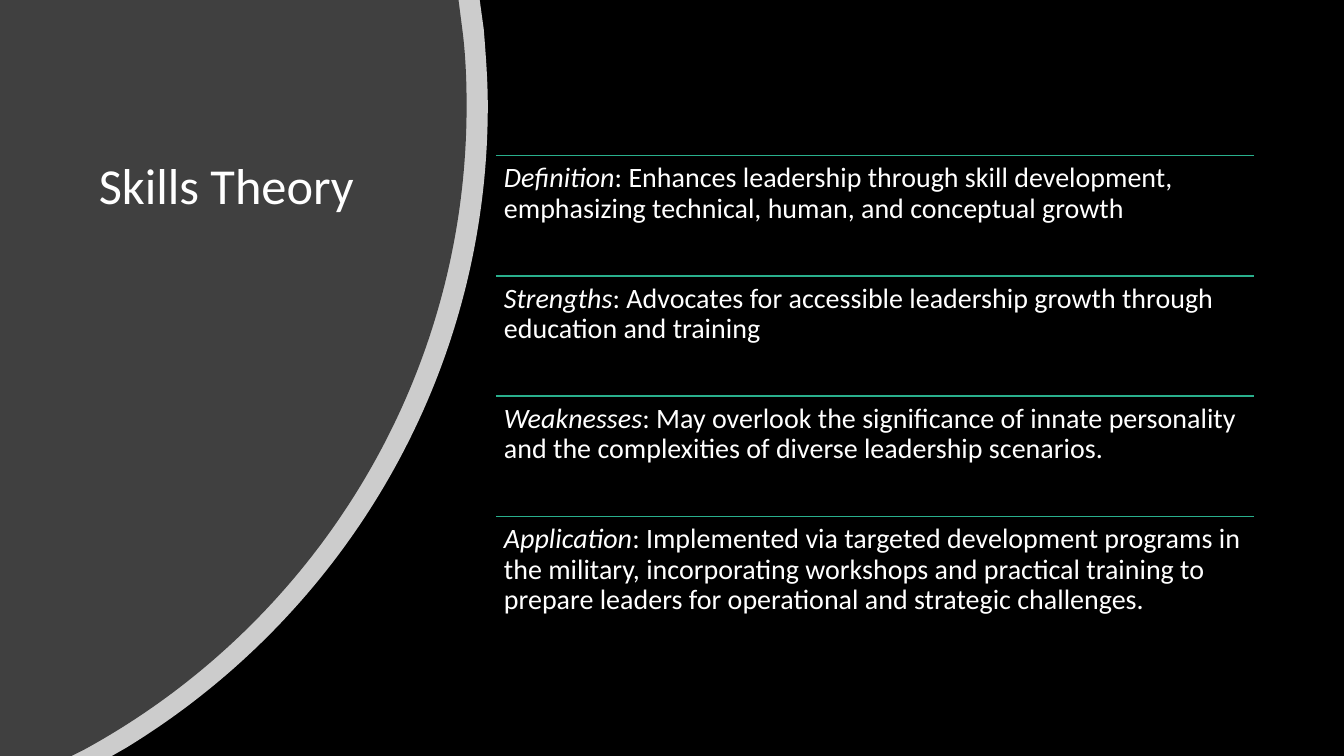
"""Build the Skills Theory slide: a curved title panel beside four ruled rows."""
from typing import NamedTuple

from lxml.etree import Element, SubElement
from pptx import Presentation
from pptx.dml.color import RGBColor
from pptx.enum.shapes import MSO_CONNECTOR as Conn
from pptx.enum.text import MSO_ANCHOR as Anchor, MSO_AUTO_SIZE as Fit, PP_ALIGN as Align
from pptx.oxml.ns import qn
from pptx.util import Pt

PX = 4572
WIDE, HIGH = 2667, 1500
LEFT, TOP, ROW_W, ROW_H = 984, 309, 1504, 239
SPAN, INSET = 716, 16
FONT, WHITE = "Calibri", "FFFFFF"

Point = tuple[int, int]


class Panel(NamedTuple):
    edge: list[Point]
    curves: list[Point]
    foot: int
    fill: str
    alpha: int


class Row(NamedTuple):
    term: str
    body: str


PANELS = [
    Panel([(952, 0), (960, 58)],
          [(964, 108), (968, 160), (968, 210), (968, 750), (680, 1222), (250, 1484)],
          222, WHITE, 80),
    Panel([(910, 0), (918, 62)],
          [(924, 110), (926, 160), (926, 210), (926, 762), (618, 1242), (166, 1488)],
          142, "404040", 100),
]
ROWS = [
    Row("Definition", ": Enhances leadership through skill development, "
        "emphasizing technical, human, and conceptual growth"),
    Row("Strengths", ": Advocates for accessible leadership growth through "
        "education and training"),
    Row("Weaknesses", ": May overlook the significance of innate personality "
        "and the complexities of diverse leadership scenarios."),
    Row("Application", ": Implemented via targeted development programs in the "
        "military, incorporating workshops and practical training to prepare "
        "leaders for operational and strategic challenges."),
]


def emu(num: int) -> int:
    """Turn px into EMU."""
    return num * PX


def paint(fmt, tone: str) -> None:
    """Give a fill one solid colour."""
    fmt.solid()
    fmt.fore_color.rgb = RGBColor.from_string(tone)


def write(para, text: str, size: int, italic: bool = False) -> None:
    """Add one formatted run to a paragraph."""
    para.line_spacing = 0.9
    para.alignment = Align.LEFT
    run = para.add_run()
    run.text = text
    font = run.font
    font.name, font.size, font.italic = FONT, Pt(size), italic
    paint(font.fill, WHITE)


def bend(shape, first: int, count: int) -> None:
    """Merge each three line ends from the first on into a cubic curve."""
    lines = list(shape.element.iter(qn("a:lnTo")))[first:first + count]
    for start in range(0, count, 3):
        curve = Element(qn("a:cubicBezTo"))
        lines[start].addprevious(curve)
        for line in lines[start:start + 3]:
            curve.append(line[0])
            line.getparent().remove(line)


def draw_panel(slide, panel: Panel) -> None:
    """Draw one curved panel from the top left corner."""
    spots = [*panel.edge, *panel.curves, (panel.foot, HIGH), (0, HIGH)]
    pen = slide.shapes.build_freeform(0, 0, scale=PX)
    pen.add_line_segments(spots, close=True)
    shape = pen.convert_to_shape()
    bend(shape, len(panel.edge), len(panel.curves))
    shape.shadow.inherit = False
    shape.line.fill.background()
    paint(shape.fill, panel.fill)
    if panel.alpha < 100:
        tone = shape.element.spPr.find(qn("a:solidFill")).find(qn("a:srgbClr"))
        SubElement(tone, qn("a:alpha")).set("val", str(panel.alpha * 1000))


def draw_row(group, row: Row, top: int) -> None:
    """Draw a rule with its text below."""
    rule = group.shapes.add_connector(
        Conn.STRAIGHT, emu(LEFT), emu(top), emu(LEFT + ROW_W), emu(top))
    rule.line.width = Pt(1)
    paint(rule.line.fill, "29AF8C")
    SubElement(rule.element.spPr, qn("a:effectLst"))
    box = group.shapes.add_textbox(emu(LEFT), emu(top), emu(ROW_W), emu(ROW_H))
    frame = box.text_frame
    frame.word_wrap = True
    frame.margin_left = frame.margin_right = emu(INSET)
    frame.margin_top = frame.margin_bottom = emu(INSET)
    para = frame.paragraphs[0]
    write(para, row.term, size=20, italic=True)
    write(para, row.body, size=20)


def set_title(slide, text: str) -> None:
    """Place the title over the panels."""
    title = slide.shapes.title
    slide.shapes.element.append(title.element)
    title.left, title.top = emu(176), emu(TOP)
    title.width, title.height = emu(628), emu(472)
    frame = title.text_frame
    frame.word_wrap = True
    frame.auto_size = Fit.NONE
    frame.vertical_anchor = Anchor.TOP
    write(frame.paragraphs[0], text, size=36)


def main() -> None:
    """Build and save the deck."""
    deck = Presentation()
    deck.slide_width, deck.slide_height = emu(WIDE), emu(HIGH)
    slide = deck.slides.add_slide(deck.slide_layouts[5])
    paint(slide.background.fill, "000000")
    for panel in PANELS:
        draw_panel(slide, panel)
    set_title(slide, "Skills Theory")
    group = slide.shapes.add_group_shape()
    for num, row in enumerate(ROWS):
        draw_row(group, row, TOP + round(SPAN * num / (len(ROWS) - 1)))
    deck.save("out.pptx")


if __name__ == "__main__":
    main()
